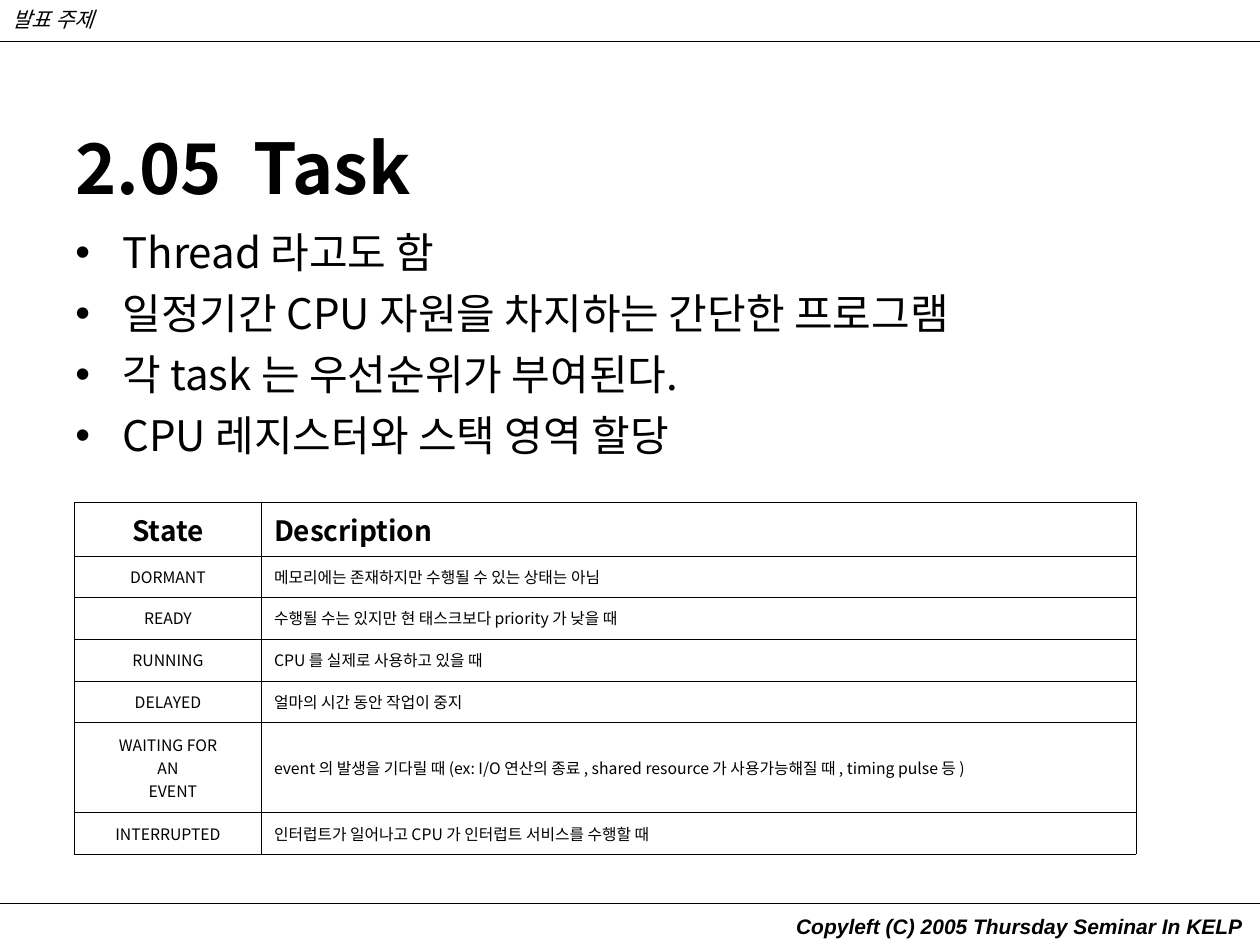
from lxml import etree
from pptx import Presentation
from pptx import util as u
from pptx.dml.color import RGBColor
from pptx.enum import shapes, text
from pptx.oxml import ns

BLACK = "000000"
NOTO = "Noto Sans CJK KR"
POINTS = [
    "Thread 라고도 함",
    "일정기간 CPU 자원을 차지하는 간단한 프로그램",
    "각 task 는 우선순위가 부여된다.",
    "CPU 레지스터와 스택 영역 할당",
]
STATES = [
    ("State", "Description"),
    ("DORMANT", "메모리에는 존재하지만 수행될 수 있는 상태는 아님"),
    ("READY", "수행될 수는 있지만 현 태스크보다 priority 가 낮을 때"),
    ("RUNNING", "CPU 를 실제로 사용하고 있을 때"),
    ("DELAYED", "얼마의 시간 동안 작업이 중지"),
    ("WAITING FOR\nAN\nEVENT",
     "event 의 발생을 기다릴 때 (ex: I/O 연산의 종료 , "
     "shared resource 가 사용가능해질 때 , timing pulse 등 )"),
    ("INTERRUPTED", "인터럽트가 일어나고 CPU 가 인터럽트 서비스를 수행할 때"),
]


def color(code):
    return RGBColor.from_string(code)


def add(parent, tag, **attrs):
    return etree.SubElement(parent, ns.qn(tag), attrs)


def style(para, size, face=NOTO, bold=False, italic=False):
    for run in para.runs:
        font = run.font
        font.size, font.name = u.Pt(size), face
        font.bold, font.italic = bold, italic
        font.color.rgb = color(BLACK)
        add(run._r.get_or_add_rPr(), "a:ea", typeface=NOTO)


def text_box(slide, box, words):
    frame = slide.shapes.add_textbox(*map(u.Cm, box)).text_frame
    frame.word_wrap = True
    frame.text = words
    return frame


def rule(slide, top, width):
    line = slide.shapes.add_connector(
        shapes.MSO_CONNECTOR.STRAIGHT, 0, u.Cm(top), u.Cm(width), u.Cm(top))
    line.line.color.rgb = color(BLACK)
    line.line.width = u.Pt(0.75)
    add(line._element.spPr, "a:effectLst")


def band(slide, box, words, edge, bold=False):
    """A header or footer note with a full-width rule at height edge."""
    rule(slide, edge, 25.4)
    frame = text_box(slide, box, words)
    style(frame.paragraphs[0], 12, "Arial", bold, True)


def title(slide, box, words):
    frame = text_box(slide, box, words)
    frame.vertical_anchor = text.MSO_ANCHOR.MIDDLE
    para = frame.paragraphs[0]
    tabs = add(para._p.get_or_add_pPr(), "a:tabLst")
    add(tabs, "a:tab", pos=str(u.Cm(3.6)), algn="l")
    style(para, 40, bold=True)


def bullets(slide, box, items):
    frame = text_box(slide, box, "\n".join(items))
    for i, para in enumerate(frame.paragraphs):
        if i:
            para.space_before = u.Pt(6)
        props = para._p.get_or_add_pPr()
        props.set("marL", str(u.Cm(0.95)))
        props.set("indent", str(u.Cm(-0.95)))
        add(add(props, "a:buClr"), "a:srgbClr", val=BLACK)
        add(props, "a:buFont", typeface="Arial")
        add(props, "a:buChar", char="•")
        style(para, 24)


def border(cell):
    props = cell._tc.get_or_add_tcPr()
    for side in ("a:lnL", "a:lnR", "a:lnT", "a:lnB"):
        line = add(props, side, w=str(u.Pt(0.06)))
        add(add(line, "a:solidFill"), "a:srgbClr", val=BLACK)


def state_table(slide, box, rows):
    left, top, width, height = box
    table = slide.shapes.add_table(len(rows), 2, *map(u.Cm, box)).table
    table.first_row = table.horz_banding = False
    first = 3.77
    for col, size in zip(table.columns, (first, width - first)):
        col.width = u.Cm(size)
    for r, row in enumerate(rows):
        lines = row[0].count("\n") + 1
        table.rows[r].height = u.Cm(0.84 + 0.49 * (lines - 1) if r else 1.07)
        for c, words in enumerate(row):
            cell = table.cell(r, c)
            cell.text = words
            cell.vertical_anchor = text.MSO_ANCHOR.MIDDLE
            border(cell)
            cell.fill.background()
            for para in cell.text_frame.paragraphs:
                para.alignment = (text.PP_ALIGN.LEFT if c
                                  else text.PP_ALIGN.CENTER)
                style(para, 9 if r else 16, bold=not r)
                if para.text == "EVENT":
                    para._p.get_or_add_pPr().set("marL", str(u.Cm(0.2)))


def main():
    deck = Presentation()
    deck.slide_width, deck.slide_height = u.Cm(25.4), u.Cm(19.05)
    slide = deck.slides.add_slide(deck.slide_layouts[6])
    band(slide, (0, 0, 8.89, 0.76), "발표 주제", 0.84)
    band(slide, (15.8, 18.29, 9.6, 0.76),
         "Copyleft (C) 2005 Thursday Seminar In KELP", 18.21, bold=True)
    title(slide, (1.27, 2.16, 22.86, 2.39), "2.05\tTask")
    bullets(slide, (1.27, 4.45, 22.63, 5.49), POINTS)
    state_table(slide, (1.5, 10.13, 21.4, 7.09), STATES)
    deck.save("out.pptx")


if __name__ == "__main__":
    main()
